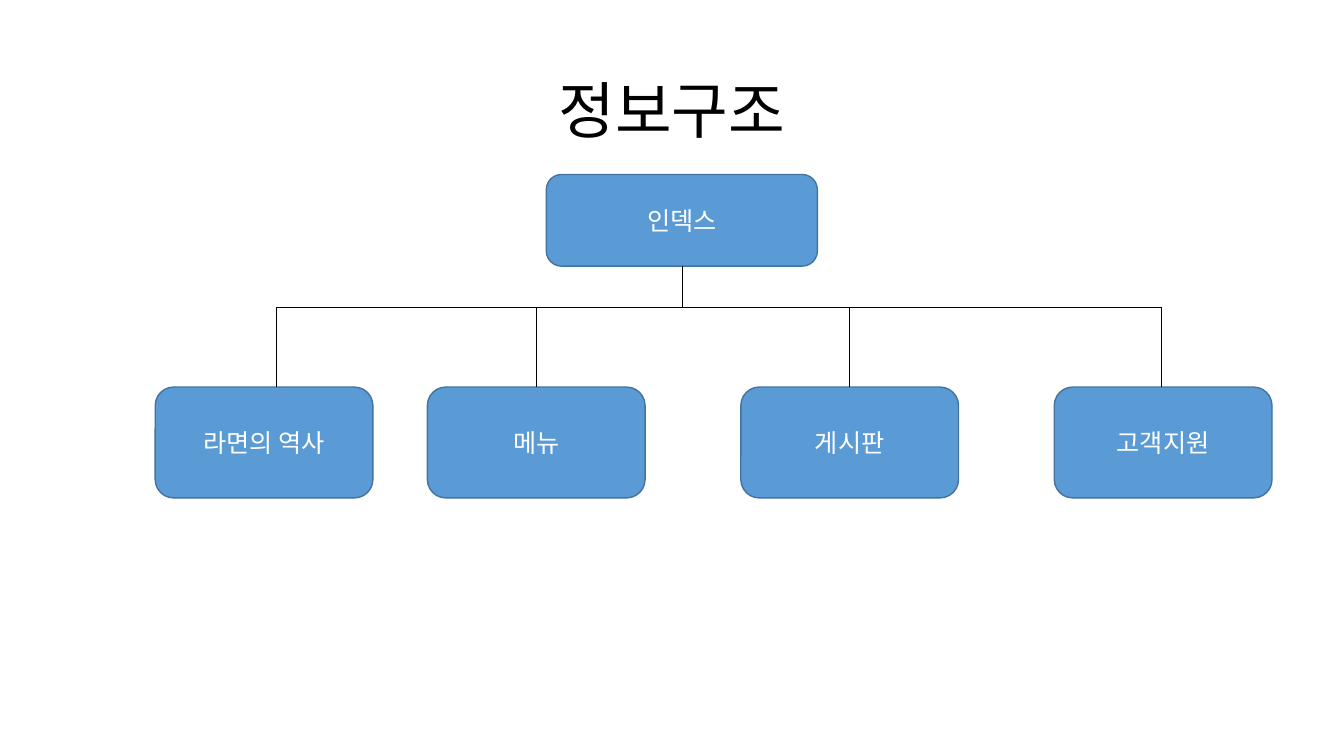
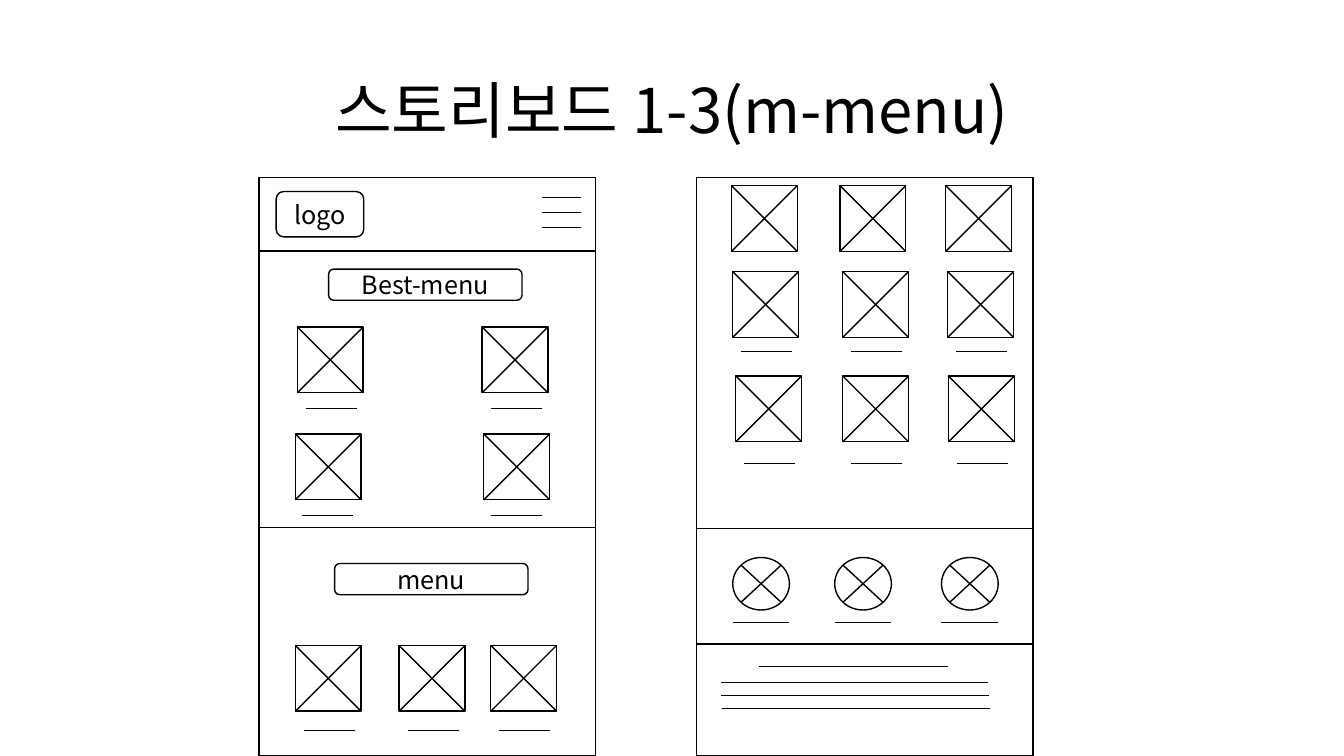
from pptx import Presentation
from pptx.dml.color import RGBColor
from pptx.enum.shapes import MSO_CONNECTOR, MSO_SHAPE
from pptx.enum.text import MSO_ANCHOR, MSO_AUTO_SIZE, PP_ALIGN
from pptx.oxml.ns import qn
from pptx.util import Pt
from lxml import etree

FONT = "Noto Sans CJK KR"
COLORS = {"black": "000000", "white": "FFFFFF", "node": "5B9BD5", "edge": "43739E"}
RGB = {name: RGBColor.from_string(value) for name, value in COLORS.items()}


def add_line(shapes, x1, y1, x2, y2, width=0.5):
    c = shapes.add_connector(MSO_CONNECTOR.STRAIGHT, Pt(x1), Pt(y1), Pt(x2), Pt(y2))
    c.line.color.rgb = RGB["black"]
    c.line.width = Pt(width)
    etree.SubElement(c._element.spPr, qn("a:effectLst"))


def add_box(shapes, kind, x, y, w, h, text="", fill="white", edge="black", ink="black"):
    sp = shapes.add_shape(kind, Pt(x), Pt(y), Pt(w), Pt(h))
    sp.shadow.inherit = False
    sp.fill.solid()
    sp.fill.fore_color.rgb = RGB[fill]
    sp.line.color.rgb = RGB[edge]
    sp.line.width = Pt(1)
    if text:
        tf = sp.text_frame
        tf.text = text
        tf.vertical_anchor = MSO_ANCHOR.MIDDLE
        tf.margin_left = tf.margin_right = tf.margin_top = tf.margin_bottom = 0
        p = tf.paragraphs[0]
        p.alignment = PP_ALIGN.CENTER
        p.font.size = Pt(18)
        p.font.color.rgb = RGB[ink]
        p.font.name = FONT
        etree.SubElement(p.font._element, qn("a:ea"), typeface=FONT)


prs = Presentation()
prs.slide_width, prs.slide_height = Pt(960), Pt(540)

# Slides and their titles
slides = []
for text in ("정보구조", "스토리보드 1-3(m-menu)"):
    s = prs.slides.add_slide(prs.slide_layouts.get_by_name("Title Only"))
    title = s.shapes.title
    title.left, title.top, title.width, title.height = Pt(66), Pt(28.8), Pt(828), Pt(104.4)
    tf = title.text_frame
    tf.text = text
    tf.auto_size = MSO_AUTO_SIZE.NONE
    tf.vertical_anchor = MSO_ANCHOR.MIDDLE
    p = tf.paragraphs[0]
    p.alignment = PP_ALIGN.CENTER
    p.line_spacing = 0.9
    p.font.size = Pt(44)
    p.font.color.rgb = RGB["black"]
    p.font.name = FONT
    etree.SubElement(p.font._element, qn("a:ea"), typeface=FONT)
    slides.append(s.shapes)
site_map, storyboard = slides

# Site map: root, four pages and the lines between them
NODE = {"fill": "node", "edge": "edge", "ink": "white"}
BAR_Y, PAGE_Y = 219.3, 276.5
add_box(site_map, MSO_SHAPE.ROUNDED_RECTANGLE, 390.2, 124.6, 193.7, 65.5, "인덱스", **NODE)
pages = [("라면의 역사", 110.9, 197.3), ("메뉴", 305.3, 383),
         ("게시판", 529.2, 607), ("고객지원", 753.1, 829.8)]
for label, x, drop_x in pages:
    add_box(site_map, MSO_SHAPE.ROUNDED_RECTANGLE, x, PAGE_Y, 155.5, 79.2, label, **NODE)
    add_line(site_map, drop_x, BAR_Y, drop_x, PAGE_Y)
add_line(site_map, 487.1, 190.1, 487.1, BAR_Y)
add_line(site_map, pages[0][2], BAR_Y, pages[-1][2], BAR_Y)

# Storyboard: two phone screens with their section dividers
SCREEN_W = 240.5
for x, dividers in ((185, (179.3, 377)), (497.5, (377.6, 460.1))):
    add_box(storyboard, MSO_SHAPE.RECTANGLE, x, 126.7, SCREEN_W, 413.3)
    for y in dividers:
        add_line(storyboard, x, y, x + SCREEN_W, y, 1)

# Header, menu icon and section labels
for label, x, y, w, h in (("logo", 197.3, 136.8, 62.6, 32.4),
                          ("Best-menu", 234.7, 192.2, 138.2, 22.3),
                          ("menu", 239, 402.5, 138.2, 22.3)):
    add_box(storyboard, MSO_SHAPE.ROUNDED_RECTANGLE, x, y, w, h, label)
for i in range(3):
    y = 141.3 + 10.6 * i
    add_line(storyboard, 387.2, y, 414.7, y, 1)

# Crossed frames by row: kind, size, corner inset, top, lefts, caption (y, indent, width)
SQUARE = (MSO_SHAPE.RECTANGLE, 47, 47, 0)
CIRCLE = (MSO_SHAPE.OVAL, 40.5, 37.5, 0.146)
rows = [
    (SQUARE, 233.6, (212.4, 344.4), (292, 6, 36.5)),
    (SQUARE, 310, (211, 345.6), (368, 5, 36.5)),
    (SQUARE, 461, (211, 285.1, 350.6), (521.8, 6, 36.5)),
    (SQUARE, 132.6, (522.5, 600, 675.5), None),
    (SQUARE, 194, (523.4, 602, 677), (251.3, 6, 36.5)),
    (SQUARE, 268.6, (525.6, 602, 677.5), (331, 6, 36.5)),
    (CIRCLE, 398.2, (523.4, 596.2, 672.5), (444.2, 0, 40.5)),
]
for (kind, w, h, inset), y, lefts, caption in rows:
    dx, dy = w * inset, h * inset
    for x in lefts:
        frame = storyboard.add_group_shape().shapes
        add_box(frame, kind, x, y, w, h)
        add_line(frame, x + dx, y + dy, x + w - dx, y + h - dy, 1)
        add_line(frame, x + w - dx, y + dy, x + dx, y + h - dy, 1)
        if caption:
            cap_y, indent, cap_w = caption
            add_line(storyboard, x + indent, cap_y, x + indent + cap_w, cap_y)

# Footer text lines
for x1, x2, y in ((542.2, 676.8, 475.9), (514.8, 705.6, 487.4),
                  (515, 706.3, 496.5), (515.5, 707, 506)):
    add_line(storyboard, x1, y, x2, y)

prs.save("out.pptx")
